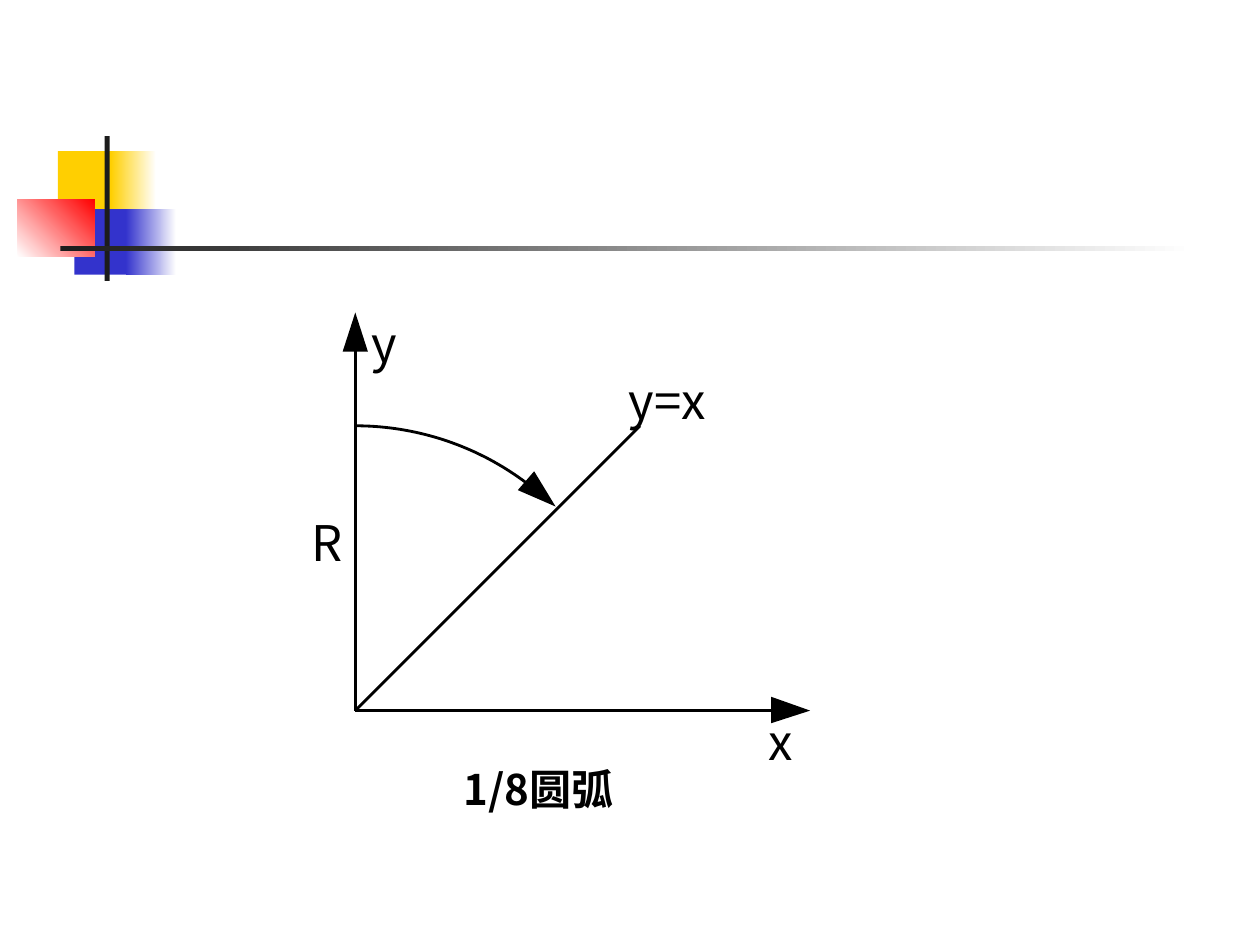
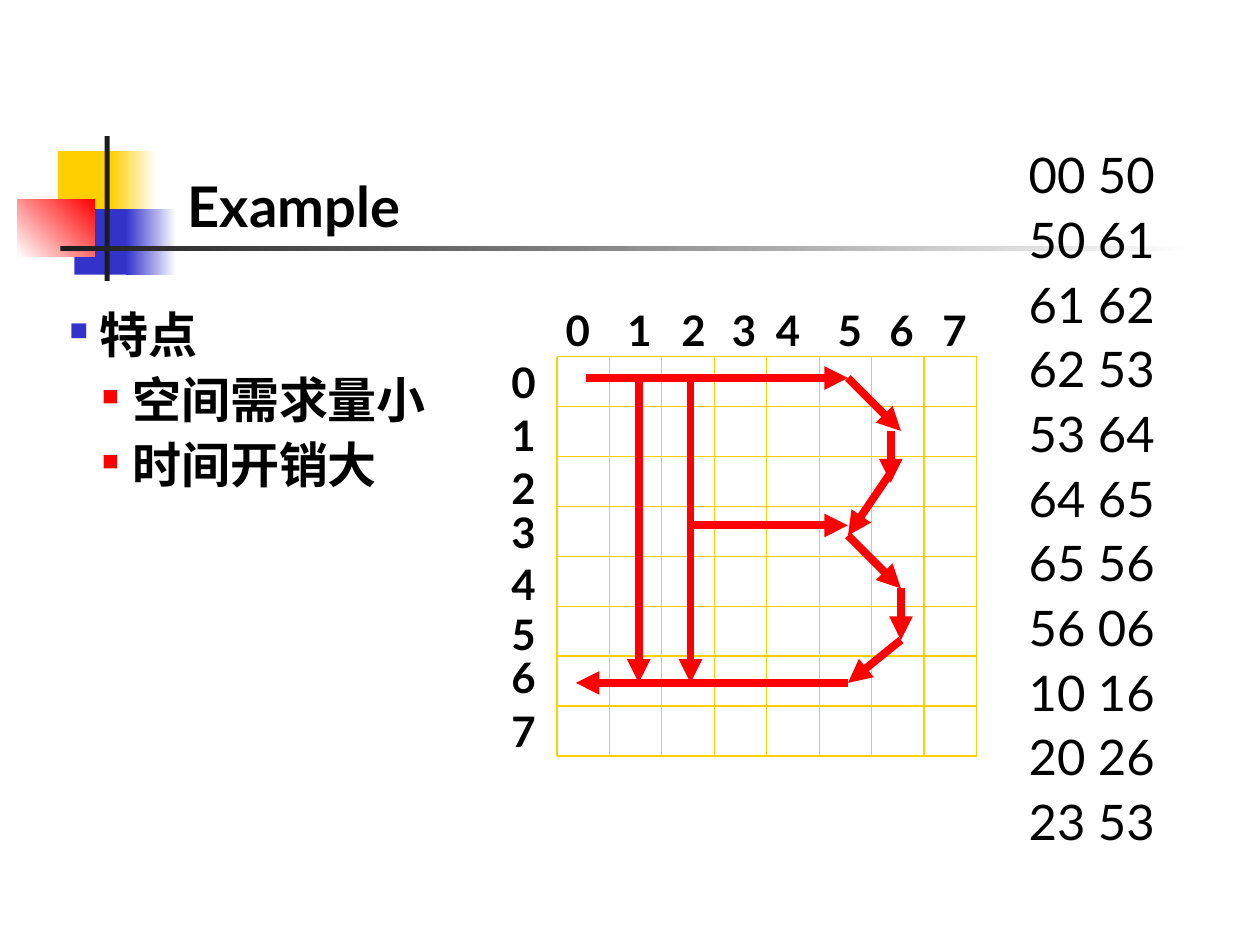
import math

import pptx
import pptx.dml.color
import pptx.enum.shapes
import pptx.enum.text
import pptx.oxml.ns
import pptx.util
from lxml import etree

Inches = pptx.util.Inches
Pt = pptx.util.Pt
RGBColor = pptx.dml.color.RGBColor
Align = pptx.enum.text.PP_ALIGN
Anchor = pptx.enum.text.MSO_ANCHOR
qn = pptx.oxml.ns.qn

BLACK = RGBColor(0x00, 0x00, 0x00)
WHITE = RGBColor(0xFF, 0xFF, 0xFF)
CHARCOAL = RGBColor(0x1C, 0x1C, 0x1C)
YELLOW = RGBColor(0xFF, 0xCF, 0x01)
BLUE = RGBColor(0x33, 0x33, 0xCC)
RED = RGBColor(0xFF, 0x00, 0x00)
LATIN = "Lato"
CHINESE = "Noto Sans CJK SC"


def write_text(frame, text, size=28, font=LATIN, bold=False, align=Align.LEFT,
               anchor=Anchor.TOP, margins=(0, 0), spacing=None, before=None,
               bullet=None, first=True):
    frame.word_wrap = True
    frame.auto_size = pptx.enum.text.MSO_AUTO_SIZE.NONE
    frame.vertical_anchor = anchor
    frame.margin_left = frame.margin_right = Inches(margins[0])
    frame.margin_top = frame.margin_bottom = Inches(margins[1])
    paragraph = frame.paragraphs[0] if first else frame.add_paragraph()
    paragraph.alignment = align
    if spacing:
        paragraph.line_spacing = spacing
    if before:
        paragraph.space_before = Pt(before)
    if bullet:
        color, percent, indent, level = bullet
        paragraph.level = level
        properties = paragraph._p.get_or_add_pPr()
        properties.set("marL", str(Inches(indent)))
        properties.set("indent", str(Inches(-0.24)))
        bullet_color = etree.SubElement(properties, qn("a:buClr"))
        etree.SubElement(bullet_color, qn("a:srgbClr"), val=str(color))
        etree.SubElement(properties, qn("a:buSzPct"), val=str(percent * 1000))
        etree.SubElement(properties, qn("a:buChar"), char="■")
    run = paragraph.add_run()
    run.text = text
    run.font.size = Pt(size)
    run.font.name = font
    run.font.bold = bold
    run.font.color.rgb = BLACK
    etree.SubElement(run._r.get_or_add_rPr(), qn("a:ea"), typeface=CHINESE)


def draw_line(slide, start, end, color, width, arrow=False):
    line = slide.shapes.add_connector(
        pptx.enum.shapes.MSO_CONNECTOR.STRAIGHT,
        *[Inches(value) for value in (*start, *end)])
    line.line.color.rgb = color
    line.line.width = Pt(width)
    properties = line._element.spPr
    if arrow:
        etree.SubElement(properties.find(qn("a:ln")), qn("a:tailEnd"), type="triangle")
    etree.SubElement(properties, qn("a:effectLst"))


deck = pptx.Presentation()
deck.slide_width = Inches(10)
deck.slide_height = Inches(7.5)
arc_slide = deck.slides.add_slide(deck.slide_layouts[6])
example_slide = deck.slides.add_slide(deck.slide_layouts[5])

ornament = [
    (0.46, 1.2, 0.48, 0.52, YELLOW, None, 0),
    (0.88, 1.2, 0.36, 0.52, YELLOW, WHITE, 0),
    (0.59, 1.66, 0.46, 0.52, BLUE, None, 0),
    (1, 1.66, 0.4, 0.52, BLUE, WHITE, 0),
    (0.14, 1.58, 0.61, 0.46, WHITE, RED, 45),
    (0.83, 1.08, 0.04, 1.15, CHARCOAL, None, 0),
    (0.48, 1.95, 9, 0.04, CHARCOAL, WHITE, 0),
]
for slide in (arc_slide, example_slide):
    for left, top, width, height, color, fade, angle in ornament:
        block = slide.shapes.add_shape(
            pptx.enum.shapes.MSO_SHAPE.RECTANGLE,
            Inches(left), Inches(top), Inches(width), Inches(height))
        block.shadow.inherit = False
        block.line.fill.background()
        if fade is None:
            block.fill.solid()
            block.fill.fore_color.rgb = color
        else:
            block.fill.gradient()
            block.fill.gradient_angle = angle
            for stop, stop_color in zip(block.fill.gradient_stops, (color, fade)):
                stop.color.rgb = stop_color

origin = (2.82, 5.64)
radius = 2.26
for axis_end in [(6.15, 5.64), (2.82, 2.76), (5.08, 3.38)]:
    draw_line(arc_slide, origin, axis_end, BLACK, 1.62)

arc = [(origin[0] + radius * math.sin(math.radians(degree)),
        origin[1] - radius * math.cos(math.radians(degree))) for degree in range(38)]
outlines = [
    ([(6.12, 5.53), (6.43, 5.64), (6.12, 5.74)], True),
    ([(2.72, 2.79), (2.82, 2.48), (2.92, 2.79)], True),
    ([(4.24, 3.74), (4.41, 4.02), (4.11, 3.89)], True),
    (arc, False),
]
for points, closed in outlines:
    corners = [(Inches(x), Inches(y)) for x, y in points]
    builder = arc_slide.shapes.build_freeform(*corners[0])
    builder.add_line_segments(corners[1:], close=closed)
    outline = builder.convert_to_shape()
    outline.shadow.inherit = False
    if closed:
        outline.fill.solid()
        outline.fill.fore_color.rgb = BLACK
        outline.line.fill.background()
    else:
        outline.fill.background()
        outline.line.color.rgb = BLACK
        outline.line.width = Pt(1.62)

for text, left, top, width, height, size, bold in [
    ("y", 2.95, 2.49, 0.3, 0.47, 28, False),
    ("y=x", 4.99, 2.94, 0.8, 0.47, 28, False),
    ("1/8圆弧", 3.68, 6.06, 1.2, 0.8, 24, True),
    ("x", 6.1, 5.65, 0.3, 0.47, 28, False),
    ("R", 2.47, 4.07, 0.3, 0.47, 28, False),
]:
    label = arc_slide.shapes.add_textbox(
        Inches(left), Inches(top), Inches(width), Inches(height))
    write_text(label.text_frame, text, size=size, font=CHINESE, bold=bold)

title = example_slide.shapes.title
title.left, title.top = Inches(1.39), Inches(1.31)
title.width, title.height = Inches(2.09), Inches(0.64)
write_text(title.text_frame, "Example", size=32, bold=True, margins=(0.1, 0.05))

grid_left, grid_top, grid_right, grid_bottom = 4.42, 2.83, 7.75, 6
cells = 8
for step in range(cells + 1):
    x = grid_left + step * (grid_right - grid_left) / cells
    y = grid_top + step * (grid_bottom - grid_top) / cells
    draw_line(example_slide, (grid_left, y), (grid_right, y), YELLOW, 0.75)
    draw_line(example_slide, (x, grid_top), (x, grid_bottom), YELLOW, 0.75)

row_tops = [2.83, 3.25, 3.67, 4.02, 4.43, 4.83, 5.17, 5.6]
column_lefts = [4.49, 4.98, 5.41, 5.81, 6.16, 6.65, 7.06, 7.48]
digit_spots = [(4.06, top) for top in row_tops] + [(left, 2.42) for left in column_lefts]
for index, (left, top) in enumerate(digit_spots):
    digit = example_slide.shapes.add_textbox(
        Inches(left - 0.1), Inches(top), Inches(0.39), Inches(0.4))
    write_text(digit.text_frame, str(index % cells), size=24, bold=True,
               align=Align.CENTER, anchor=Anchor.MIDDLE)

for start, end in [
    ((4.65, 3), (6.73, 3)),
    ((6.73, 3), (7.15, 3.42)),
    ((7.07, 3.42), (7.07, 3.83)),
    ((7.07, 3.75), (6.73, 4.25)),
    ((6.73, 4.25), (7.15, 4.67)),
    ((7.15, 4.67), (7.15, 5.08)),
    ((7.15, 5.08), (6.73, 5.42)),
    ((6.73, 5.42), (4.57, 5.42)),
    ((5.07, 3), (5.07, 5.42)),
    ((5.48, 3), (5.48, 5.42)),
    ((5.48, 4.17), (6.73, 4.17)),
]:
    draw_line(example_slide, start, end, RED, 4.5, arrow=True)

strokes = example_slide.shapes.add_textbox(
    Inches(8.08), Inches(1.1), Inches(1.17), Inches(5.65))
write_text(strokes.text_frame,
           "00 50 50 61 61 62 62 53 53 64 64 65 65 56 56 06 10 16 20 26 23 53",
           align=Align.CENTER, anchor=Anchor.MIDDLE, spacing=1.1)

features = example_slide.shapes.add_textbox(
    Inches(0.55), Inches(2.47), Inches(3.67), Inches(1.74))
write_text(features.text_frame, "特点", bold=True, spacing=0.9, bullet=(BLUE, 52, 0.24, 0))
for feature in ("空间需求量小", "时间开销大"):
    write_text(features.text_frame, feature, bold=True, spacing=0.9, before=7,
               bullet=(RED, 47, 0.5, 1), first=False)

deck.save("out.pptx")
